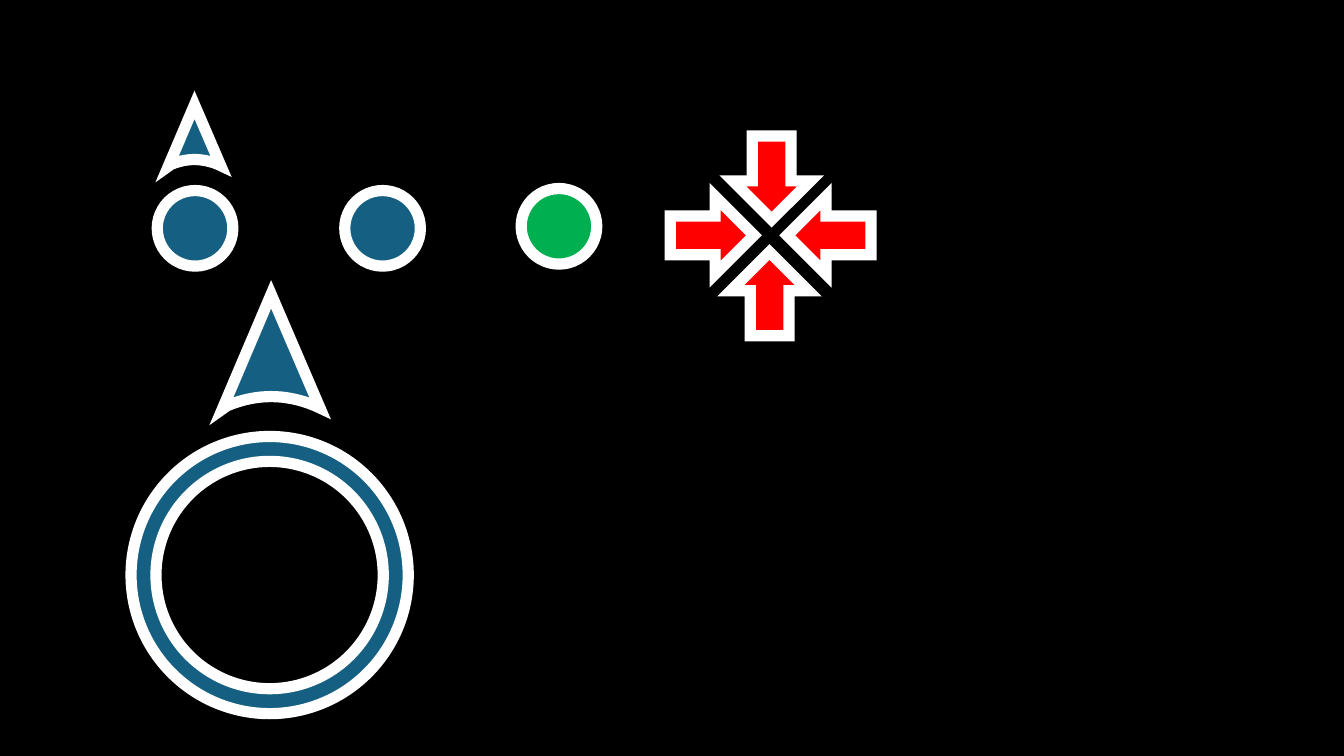
from dataclasses import dataclass

from lxml import etree
from pptx import Presentation
from pptx.dml.color import RGBColor
from pptx.enum.shapes import MSO_SHAPE
from pptx.oxml.ns import qn
from pptx.shapes.autoshape import Shape
from pptx.slide import Slide
from pptx.util import Inches, Pt

ELLIPSE = MSO_SHAPE.OVAL
DONUT = MSO_SHAPE.DONUT
ARROW = MSO_SHAPE.RIGHT_ARROW

COLORS = {
    "background": "000000",
    "outline": "FFFFFF",
    "blue": "156082",
    "green": "00B050",
    "red": "FF0000",
}

SLIDE_WIDTH, SLIDE_HEIGHT = Inches(13.33), Inches(7.5)
COLUMN, ROW = SLIDE_WIDTH / 80, SLIDE_HEIGHT / 45
OUTLINE_WIDTH = Pt(8)
DOT_SIZE = 4.5
RING_SIZE = 16.5
RING_THICKNESS = 0.09
ARROW_LENGTH, ARROW_BREADTH = 4.98, 4.62
ARC_STEPS = 16


@dataclass(frozen=True)
class Symbol:
    """A preset shape centred on a grid position."""
    kind: MSO_SHAPE
    column: float
    row: float
    width: float
    height: float
    color: str
    rotation: float = 0


@dataclass(frozen=True)
class Pointer:
    """A notched triangle, placed by its tip."""
    column: float
    row: float
    width: float
    height: float


def dot(column: float, row: float, color: str) -> Symbol:
    return Symbol(ELLIPSE, column, row, DOT_SIZE, DOT_SIZE, color)


def arrow(column: float, row: float, rotation: float) -> Symbol:
    return Symbol(ARROW, column, row, ARROW_LENGTH, ARROW_BREADTH, "red", rotation)


RING = Symbol(DONUT, 16.05, 34.23, RING_SIZE, RING_SIZE, "blue")
SYMBOLS = [
    dot(11.61, 13.59, "blue"),
    dot(22.77, 13.59, "blue"),
    dot(33.27, 13.47, "green"),
    arrow(42.39, 14.01, 0),
    arrow(49.35, 14.01, 180),
    arrow(45.93, 10.59, 90),
    arrow(45.81, 17.49, 270),
]
POINTERS = [Pointer(11.58, 6.24, 3.12, 3.66), Pointer(16.14, 17.52, 5.82, 6.84)]


def apply_style(shape: Shape, color: str) -> None:
    """Fill the shape and give it a thick white outline with sharp corners."""
    shape.shadow.inherit = False
    shape.fill.solid()
    shape.fill.fore_color.rgb = RGBColor.from_string(COLORS[color])
    shape.line.color.rgb = RGBColor.from_string(COLORS["outline"])
    shape.line.width = OUTLINE_WIDTH
    line = shape.line._get_or_add_ln()
    etree.SubElement(line, qn("a:miter"), lim="800000")


def add_symbol(slide: Slide, symbol: Symbol) -> Shape:
    shape = slide.shapes.add_shape(
        symbol.kind,
        round((symbol.column - symbol.width / 2) * COLUMN),
        round((symbol.row - symbol.height / 2) * ROW),
        round(symbol.width * COLUMN),
        round(symbol.height * ROW),
    )
    shape.rotation = symbol.rotation
    apply_style(shape, symbol.color)
    return shape


def add_pointer(slide: Slide, pointer: Pointer) -> None:
    """Draw a pointer whose base is a shallow arc between two corners."""
    steps = [1 - 2 * step / ARC_STEPS for step in range(ARC_STEPS + 1)]
    arc = [(0.45 * step, 0.89 + 0.08 * step ** 2) for step in steps]
    outline = [(0.5, 0.99), *arc, (-0.5, 1)]
    points = [
        (
            round((pointer.column + across * pointer.width) * COLUMN),
            round((pointer.row + down * pointer.height) * ROW),
        )
        for across, down in outline
    ]
    builder = slide.shapes.build_freeform(
        round(pointer.column * COLUMN), round(pointer.row * ROW)
    )
    builder.add_line_segments(points, close=True)
    apply_style(builder.convert_to_shape(), "blue")


def main() -> None:
    presentation = Presentation()
    presentation.slide_width = SLIDE_WIDTH
    presentation.slide_height = SLIDE_HEIGHT
    slide = presentation.slides.add_slide(presentation.slide_layouts[6])
    slide.background.fill.solid()
    slide.background.fill.fore_color.rgb = RGBColor.from_string(COLORS["background"])

    for symbol in SYMBOLS:
        add_symbol(slide, symbol)
    ring = add_symbol(slide, RING)
    ring.adjustments[0] = RING_THICKNESS
    for pointer in POINTERS:
        add_pointer(slide, pointer)

    presentation.save("out.pptx")


if __name__ == "__main__":
    main()
